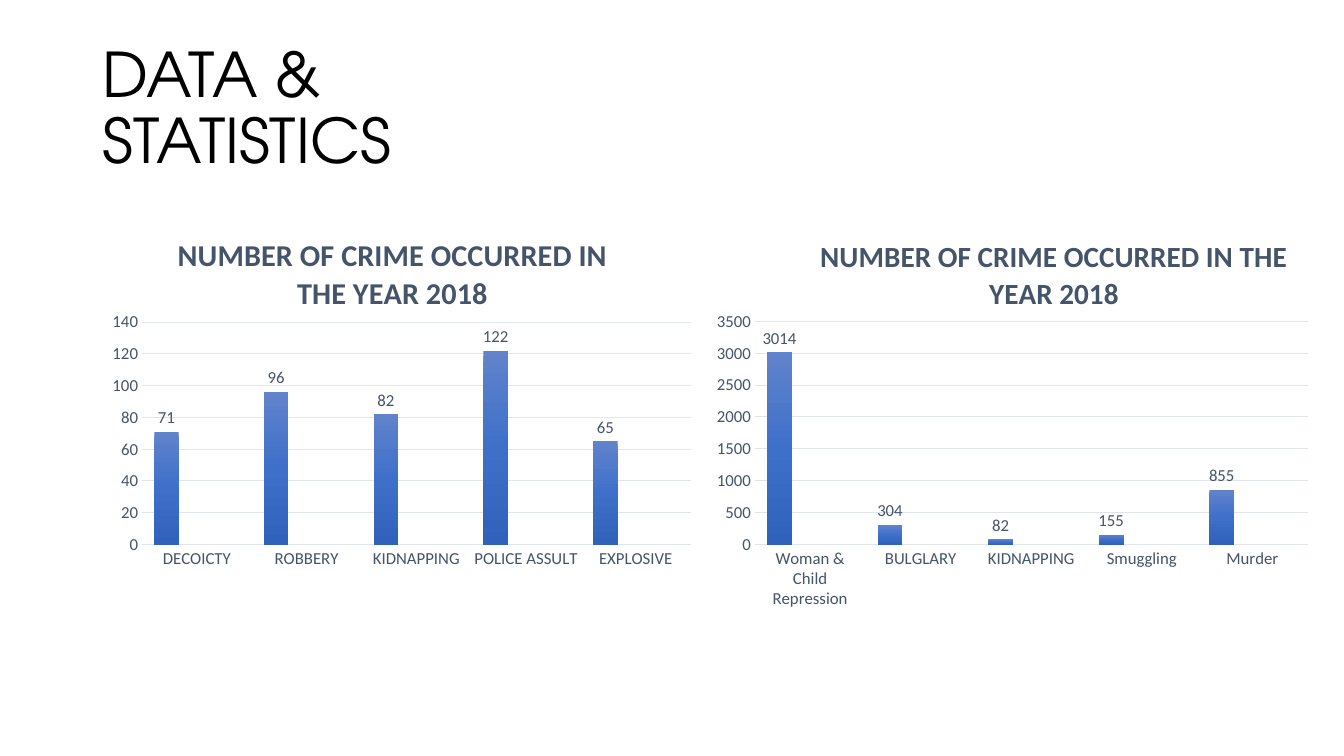
from pptx import Presentation
from pptx.chart.data import CategoryChartData
from pptx.dml.color import RGBColor
from pptx.enum.chart import XL_CHART_TYPE, XL_LABEL_POSITION, XL_TICK_MARK
from pptx.enum.text import MSO_ANCHOR
from pptx.oxml import parse_xml
from pptx.oxml.ns import nsdecls, qn
from pptx.util import Inches, Pt

COLORS = {"heading": "000000", "label": "44546A", "grid": "E0E5EB"}
GRADIENTS = {
    "Series 1": ("6183CB", "3E70CA", "3062BB"),
    "Series 2": ("F18C57", "F67B28", "E56C19"),
    "Series 3": ("AFAFAF", "A5A5A5", "939393"),
}
CHART_TITLE = "NUMBER OF CRIME OCCURRED IN THE YEAR 2018"
CHART_TOP, CHART_WIDTH = 2, 5.98
CRIME_CHARTS = [
    {
        "box": (0.99, CHART_TOP, CHART_WIDTH, 3.74),
        "counts": {"DECOICTY": 71, "ROBBERY": 96, "KIDNAPPING": 82,
                   "POLICE ASSULT": 122, "EXPLOSIVE": 65},
        "plot": (0.07, 0.32, 0.91, 0.59),
        "title_at": (0.12, 0.07),
        "title_size": 21.6,
        "axis": (140, 20),
    },
    {
        "box": (7.11, CHART_TOP, CHART_WIDTH, 4.1),
        "counts": {"Woman & Child Repression": 3014, "BULGLARY": 304,
                   "KIDNAPPING": 82, "Smuggling": 155, "Murder": 855},
        "plot": (0.06, 0.29, 0.92, 0.54),
        "title_at": (0.16, 0.07),
        "title_size": 20.9,
        "axis": (3500, 500),
    },
]


def style_font(font, size, color, name="Calibri", bold=False):
    """Set size, colour, family and weight of a font."""
    font.size, font.name, font.bold = Pt(size), name, bold
    font.color.rgb = RGBColor.from_string(COLORS[color])


def style_line(line):
    """Give a line the thin grid look."""
    line.color.rgb = RGBColor.from_string(COLORS["grid"])
    line.width = Pt(0.75)


def manual_layout(shares, inner=False):
    """Return a layout element from shares of the chart's size."""
    target = '<c:layoutTarget val="inner"/>' if inner else ""
    modes = '<c:xMode val="edge"/><c:yMode val="edge"/>'
    sizes = "".join(f'<c:{key} val="{share}"/>' for key, share in zip("xywh", shares))
    return parse_xml(f'<c:layout {nsdecls("c")}><c:manualLayout>'
                     f'{target}{modes}{sizes}</c:manualLayout></c:layout>')


def replace_layout(parent, layout, position):
    """Put a layout element into its parent in place of any other."""
    for old_layout in parent.findall(qn("c:layout")):
        parent.remove(old_layout)
    parent.insert(position, layout)


def fill_gradient(series):
    """Fill the columns of a series from top to bottom."""
    stops = "".join(
        f'<a:gs pos="{index * 50000}"><a:srgbClr val="{color}"/></a:gs>'
        for index, color in enumerate(GRADIENTS[series.name]))
    series_properties = series.format.fill._xPr
    series_properties.insert(0, parse_xml(
        f'<a:gradFill {nsdecls("a")} rotWithShape="1"><a:gsLst>{stops}</a:gsLst>'
        '<a:lin ang="5400000" scaled="0"/></a:gradFill>'))


def add_heading(slide, box):
    """Place the slide heading in its box."""
    heading = slide.shapes.add_textbox(*map(Inches, box)).text_frame
    heading.word_wrap = True
    heading.vertical_anchor = MSO_ANCHOR.MIDDLE
    heading.text = "DATA & STATISTICS"
    heading.paragraphs[0].line_spacing = 0.9
    style_font(heading.paragraphs[0].runs[0].font, 44, "heading", "TeX Gyre Adventor")


def style_axes(chart, maximum, step):
    """Format both axes and the gridlines."""
    for axis in (chart.category_axis, chart.value_axis):
        axis.major_tick_mark = axis.minor_tick_mark = XL_TICK_MARK.NONE
        style_font(axis.tick_labels.font, 12, "label")
    style_line(chart.category_axis.format.line)
    counts_axis = chart.value_axis
    counts_axis.format.line.fill.background()
    counts_axis.minimum_scale, counts_axis.maximum_scale = 0, maximum
    counts_axis.major_unit = step
    counts_axis.has_major_gridlines = True
    style_line(counts_axis.major_gridlines.format.line)


def add_crime_chart(slide, box, counts, plot, title_at, title_size, axis):
    """Place one titled column chart of crime counts in its box."""
    crime_data = CategoryChartData()
    crime_data.categories = list(counts)
    for name in GRADIENTS:
        is_counted = name == "Series 1"
        crime_data.add_series(name, counts.values() if is_counted else [None] * len(counts))
    chart = slide.shapes.add_chart(
        XL_CHART_TYPE.COLUMN_CLUSTERED, *map(Inches, box), crime_data).chart
    style_font(chart.font, 10, "heading")
    chart.has_legend = False

    chart.has_title = True
    title = chart.chart_title
    title.text_frame.text = CHART_TITLE
    style_font(title.text_frame.paragraphs[0].runs[0].font, title_size, "label", bold=True)
    replace_layout(title._element, manual_layout(title_at), 1)
    title.include_in_layout = False

    columns = chart.plots[0]
    columns.gap_width, columns.overlap, columns.vary_by_categories = 100, -24, False
    replace_layout(columns._element.getparent(), manual_layout(plot, inner=True), 0)
    for series in columns.series:
        fill_gradient(series)
        labels = series.data_labels
        labels.show_value = True
        labels.position = XL_LABEL_POSITION.OUTSIDE_END
        style_font(labels.font, 12, "label")
    style_axes(chart, *axis)


def main():
    """Build and save the slide."""
    presentation = Presentation()
    presentation.slide_width, presentation.slide_height = Inches(13.33), Inches(7.5)
    slide = presentation.slides.add_slide(presentation.slide_layouts[6])
    add_heading(slide, (0.92, 0.37, 4.9, 1.45))
    for crime_chart in CRIME_CHARTS:
        add_crime_chart(slide, **crime_chart)
    presentation.save("out.pptx")


if __name__ == "__main__":
    main()
